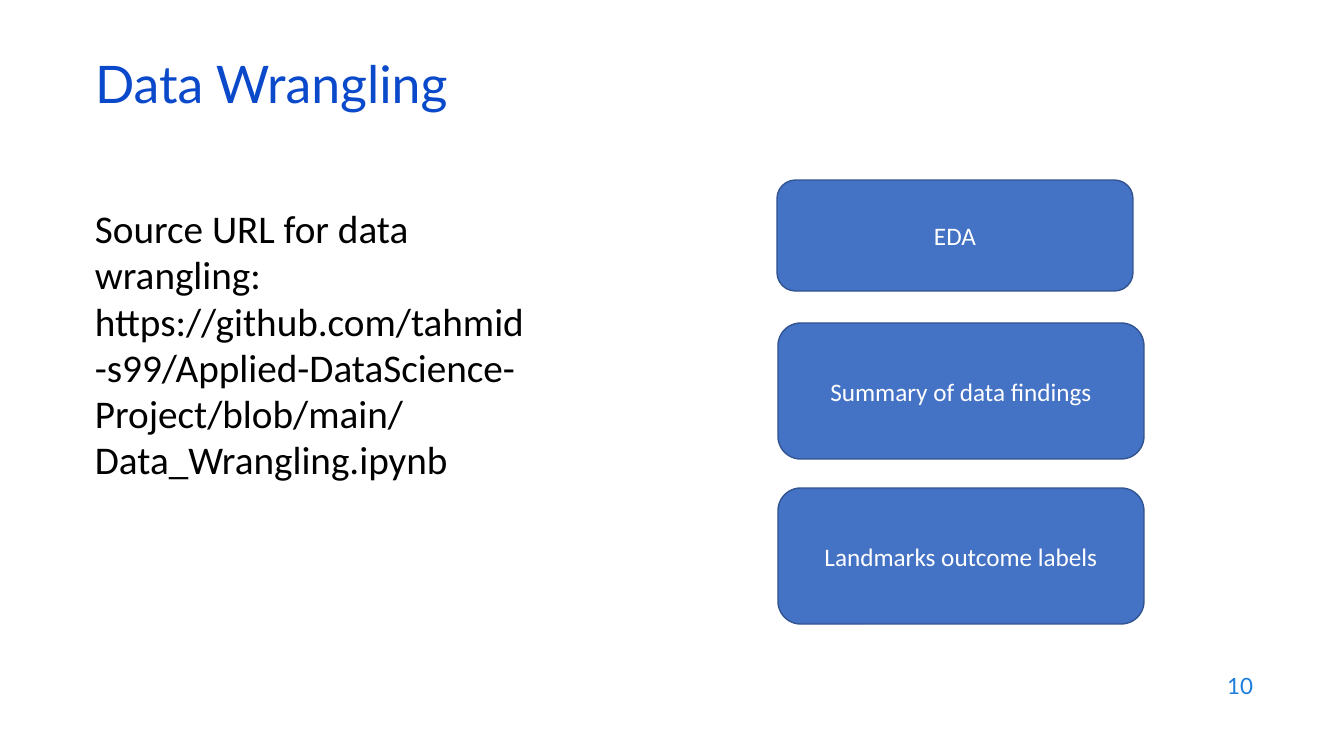
from pptx import Presentation
from pptx.dml.color import RGBColor
from pptx.enum.shapes import MSO_SHAPE
from pptx.enum.text import MSO_ANCHOR, MSO_AUTO_SIZE, PP_ALIGN
from pptx.util import Emu, Pt

EMU_PER_PX = 914400 / 100.8


def place(*lengths):
    """Turn lengths in px into EMU."""
    return [Emu(round(length * EMU_PER_PX)) for length in lengths]


def write(shape, text, size, color, font="Calibri", align=PP_ALIGN.LEFT,
          anchor=MSO_ANCHOR.MIDDLE, spacing=1.0):
    frame = shape.text_frame
    frame.word_wrap = True
    frame.auto_size = MSO_AUTO_SIZE.NONE
    frame.vertical_anchor = anchor
    para = frame.paragraphs[0]
    para.alignment = align
    para.line_spacing = spacing
    para.space_before = Pt(0)
    span = para.add_run()
    span.text = text
    span.font.name = font
    span.font.size = Pt(size)
    span.font.color.rgb = RGBColor.from_string(color)


deck = Presentation()
deck.slide_width, deck.slide_height = place(1344, 756)
page = deck.slides.add_slide(deck.slide_layouts[5])

title = page.shapes.title
title.left, title.top, title.width, title.height = place(85, 59, 1159, 60)
write(title, "Data Wrangling", 37, "0B49CB", font="Lato", spacing=0.8)

link_box = page.shapes.add_textbox(*place(85, 202, 450, 480))
write(link_box,
      "Source URL for data wrangling: https://github.com/tahmid-s99/"
      "Applied-DataScience-Project/blob/main/Data_Wrangling.ipynb",
      28, "000000", anchor=MSO_ANCHOR.TOP, spacing=0.98)

steps = [
    ("EDA", 777, 180, 356, 111),
    ("Summary of data findings", 778, 323, 366, 136),
    ("Landmarks outcome labels", 778, 488, 366, 136),
]
for label, *bounds in steps:
    step = page.shapes.add_shape(MSO_SHAPE.ROUNDED_RECTANGLE, *place(*bounds))
    step.shadow.inherit = False
    step.fill.solid()
    step.fill.fore_color.rgb = RGBColor.from_string("4472C4")
    step.line.color.rgb = RGBColor.from_string("325491")
    step.line.width = Pt(1)
    write(step, label, 18, "FFFFFF", align=PP_ALIGN.CENTER)

number_box = page.shapes.add_textbox(*place(961, 664, 302, 44))
write(number_box, "10", 16, "1C7DDB", font="Lato", align=PP_ALIGN.RIGHT)

deck.save("out.pptx")
